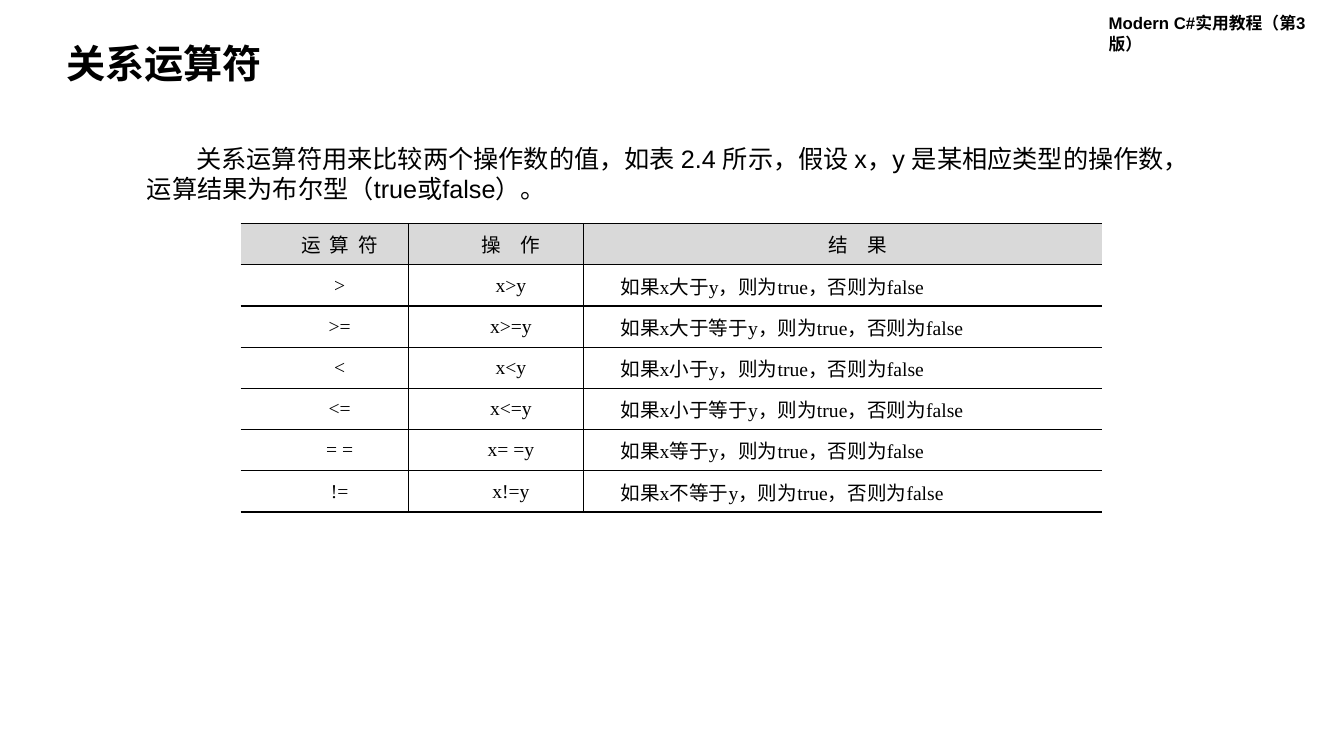
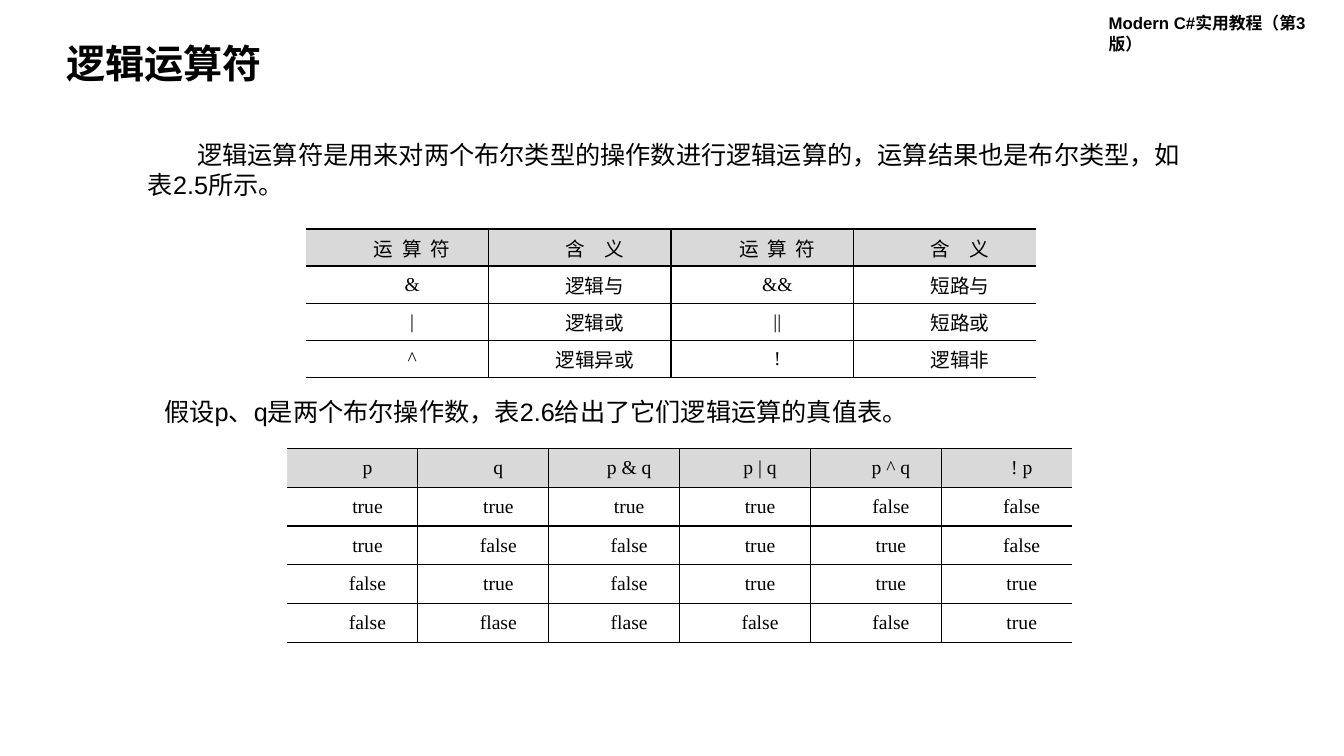
from lxml import etree
from pptx import Presentation
from pptx.dml.color import RGBColor
from pptx.enum.text import MSO_ANCHOR as Anchor, MSO_AUTO_SIZE as AutoSize, PP_ALIGN as Align
from pptx.oxml.ns import qn
from pptx.util import Pt

BLACK = RGBColor(0x00, 0x00, 0x00)
WHITE = RGBColor(0xFF, 0xFF, 0xFF)
HEADER_GRAY = RGBColor(0xD9, 0xD9, 0xD9)
BODY_FONT = "Arial"
TABLE_FONT = "Times New Roman"
BODY_INDENT = 35.3
CELL_INDENT = 21.6
RULE = 1
THICK_RULE = 1.5

BOOK_TITLE = "Modern C#实用教程（第3版）"
BOOK_BOX = (784.8, 5.8, 175.7, 21.6)
TITLE_BOX = (40.3, 28.1, 245.5, 37.4)

RELATION_TEXT = "关系运算符用来比较两个操作数的值，如表 2.4 所示，假设 x，y 是某相应类型的操作数，运算结果为布尔型（true或false）。"
LOGIC_TEXT = "逻辑运算符是用来对两个布尔类型的操作数进行逻辑运算的，运算结果也是布尔类型，如表2.5所示。"
TRUTH_TEXT = "假设p、q是两个布尔操作数，表2.6给出了它们逻辑运算的真值表。"

OPERATOR_HEADER = "运 算 符"
OPERATOR_SPACING = 160
RELATIONS = [
    (">", "x>y", "大于"),
    (">=", "x>=y", "大于等于"),
    ("<", "x<y", "小于"),
    ("<=", "x<=y", "小于等于"),
    ("= =", "x= =y", "等于"),
    ("!=", "x!=y", "不等于"),
]
RELATION_ROWS = [(OPERATOR_HEADER, "操　作", "结　果")] + [
    (operator, usage, f"如果x{word}y，则为true，否则为false")
    for operator, usage, word in RELATIONS
]
LOGIC_ROWS = [
    (OPERATOR_HEADER, "含　义") * 2,
    ("&", "逻辑与", "&&", "短路与"),
    ("|", "逻辑或", "||", "短路或"),
    ("^", "逻辑异或", "!", "逻辑非"),
]
TRUTH_ROWS = [
    ("p", "q", "p & q", "p | q", "p ^ q", "! p"),
    ("true", "true", "true", "true", "false", "false"),
    ("true", "false", "false", "true", "true", "false"),
    ("false", "true", "false", "true", "true", "true"),
    ("false", "flase", "flase", "false", "false", "true"),
]


def style_paragraph(paragraph, size, font_name, bold=False, indent=0):
    if indent:
        properties = paragraph._p.get_or_add_pPr()
        properties.set("marL", "0")
        properties.set("indent", str(Pt(indent)))
    font = paragraph.font
    font.size = Pt(size)
    font.name = font_name
    font.bold = bold
    font.color.rgb = BLACK


def add_text(slide, box, text, size=18, bold=False, indent=0):
    shape = slide.shapes.add_textbox(*map(Pt, box))
    frame = shape.text_frame
    frame.word_wrap = True
    frame.auto_size = AutoSize.NONE
    frame.text = text
    style_paragraph(frame.paragraphs[0], size, BODY_FONT, bold, indent)
    return frame


def add_title(slide, title):
    frame = add_text(slide, TITLE_BOX, title, 28, bold=True)
    frame.vertical_anchor = Anchor.MIDDLE
    frame.paragraphs[0].line_spacing = 0.9


def set_border(cell, side, width):
    properties = cell._tc.get_or_add_tcPr()
    line = etree.SubElement(properties, qn(f"a:ln{side}"), w=str(Pt(width)))
    if width:
        fill = etree.SubElement(line, qn("a:solidFill"))
        etree.SubElement(fill, qn("a:srgbClr"), val=str(BLACK))
    else:
        etree.SubElement(line, qn("a:noFill"))


def fill_cell(cell, text, color, alignment, borders):
    for side, width in zip("LRTB", borders):
        set_border(cell, side, width)
    cell.fill.solid()
    cell.fill.fore_color.rgb = color
    cell.margin_left = cell.margin_right = Pt(5)
    cell.margin_top = cell.margin_bottom = Pt(0)
    cell.vertical_anchor = Anchor.MIDDLE
    cell.text = text
    paragraph = cell.text_frame.paragraphs[0]
    paragraph.alignment = alignment
    style_paragraph(paragraph, 14, TABLE_FONT, indent=CELL_INDENT)
    if text == OPERATOR_HEADER:
        paragraph.runs[0]._r.get_or_add_rPr().set("spc", str(OPERATOR_SPACING))


def add_grid(slide, box, rows, widths=None, thick_edge=None, justified_column=None):
    count = len(rows[0])
    width, height = box[2:]
    table = slide.shapes.add_table(len(rows), count, *map(Pt, box)).table
    table.first_row = table.horz_banding = False
    for column, share in zip(table.columns, widths or [width / count] * count):
        column.width = Pt(share)
    for row in table.rows:
        row.height = Pt(height / len(rows))
    edges = [0] + [RULE] * (count - 1) + [0]
    if thick_edge:
        edges[thick_edge] = THICK_RULE
    for i, texts in enumerate(rows):
        for j, text in enumerate(texts):
            justified = i > 0 and j == justified_column
            fill_cell(
                table.cell(i, j), text,
                WHITE if i else HEADER_GRAY,
                Align.JUSTIFY if justified else Align.CENTER,
                (edges[j], edges[j + 1], RULE, RULE),
            )


def add_base_slide(presentation, title):
    slide = presentation.slides.add_slide(presentation.slide_layouts[6])
    add_text(slide, BOOK_BOX, BOOK_TITLE, 12, bold=True)
    add_title(slide, title)
    return slide


def add_relation_slide(presentation):
    slide = add_base_slide(presentation, "关系运算符")
    add_text(slide, (97.9, 98.6, 763.9, 51.1), RELATION_TEXT, indent=BODY_INDENT)
    add_grid(slide, (171.9, 159.8, 615.3, 206.1), RELATION_ROWS,
             widths=(119.9, 124.8, 370.6), justified_column=2)


def add_logic_slide(presentation):
    slide = add_base_slide(presentation, "逻辑运算符")
    add_text(slide, (98.6, 95.8, 766.8, 51.1), LOGIC_TEXT, indent=BODY_INDENT)
    add_grid(slide, (218.4, 163.6, 521.8, 106), LOGIC_ROWS, thick_edge=2)
    add_text(slide, (110.2, 279.2, 733, 28.8), TRUTH_TEXT)
    add_grid(slide, (205, 320.4, 560.8, 138.4), TRUTH_ROWS)


def main():
    presentation = Presentation()
    presentation.slide_width = Pt(960)
    presentation.slide_height = Pt(540)
    add_relation_slide(presentation)
    add_logic_slide(presentation)
    presentation.save("out.pptx")


if __name__ == "__main__":
    main()
